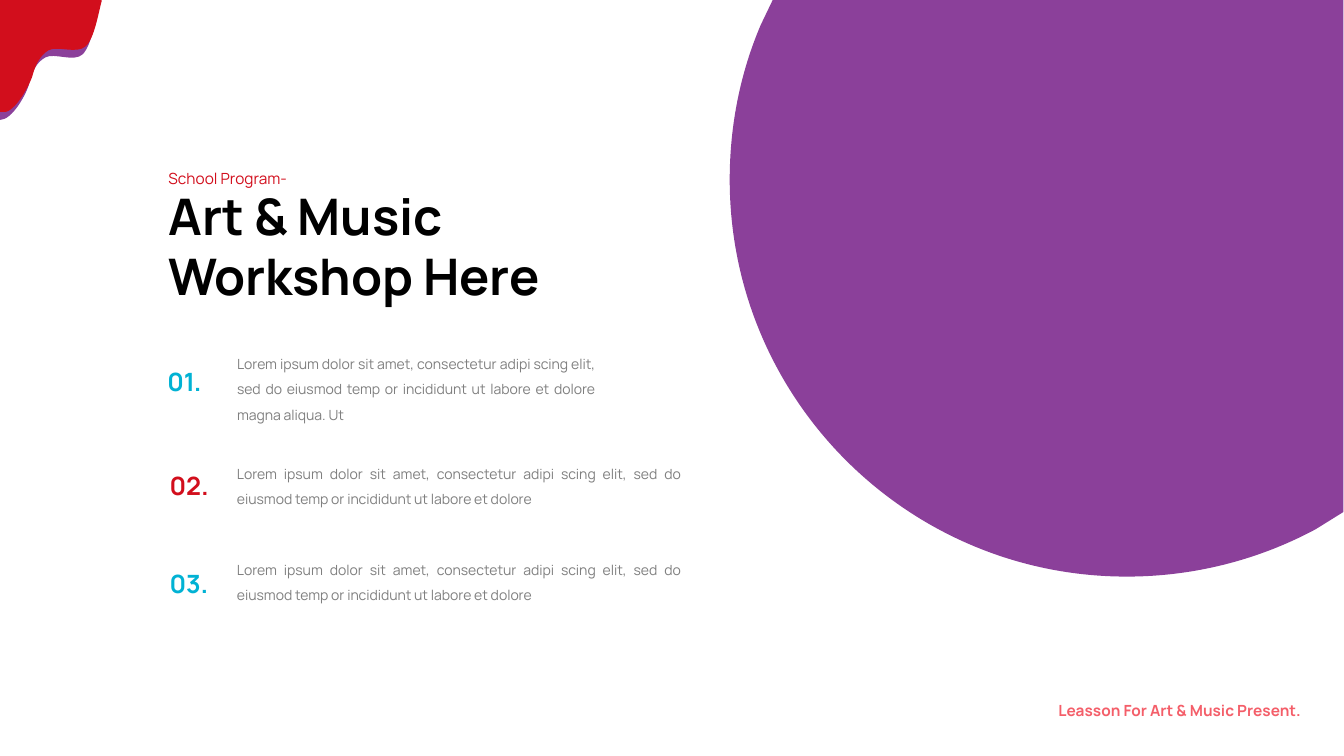
import pptx
import pptx.util
import pptx.dml.color
import pptx.enum.text
import pptx.oxml.ns
import lxml.etree

Pt = pptx.util.Pt
qn = pptx.oxml.ns.qn
align = pptx.enum.text.PP_ALIGN
purple, red, blue, gray = "8B409A", "D20E1C", "01B2D4", "7F7F7F"

deck = pptx.Presentation()
deck.slide_width, deck.slide_height = Pt(960.48), Pt(540)
slide = deck.slides.add_slide(deck.slide_layouts[6])


def tint(text):
    return pptx.dml.color.RGBColor.from_string(text)


def write(box, lines, size, color, bold=False, side=align.JUSTIFY, gap=1.5):
    frame = slide.shapes.add_textbox(*map(Pt, box)).text_frame
    frame.word_wrap = True
    frame.auto_size = pptx.enum.text.MSO_AUTO_SIZE.SHAPE_TO_FIT_TEXT
    for row, line in enumerate(lines):
        para = frame.add_paragraph() if row else frame.paragraphs[0]
        para.alignment, para.line_spacing = side, gap
        run = para.add_run()
        run.text = line
        run.font.name, run.font.size, run.font.bold = "Manrope", Pt(size), bold
        run.font.color.rgb = tint(color)


disc = [
    (552.24, 0), (960, 0), (960, 365.76), (940.32, 378),
    (900, 399.6, 853.92, 411.84, 805.2, 411.84),
    (648.72, 411.84, 521.5, 285.12, 521.5, 128.3),
    (521.5, 89.28, 529.2, 51.84, 543.6, 18),
]
shade = [
    (0, 5.76), (70.56, 5.76),
    (68.4, 12.96, 65.52, 32.4, 59.04, 38.88),
    (52.56, 44.64, 38.88, 37.44, 32.4, 41.04),
    (25.92, 44.64, 23.04, 51.12, 20.88, 59.76),
    (18.72, 67.68, 8.64, 85.68, 0, 85.68),
]
drip = [
    (0, 79.92), (0, 0), (72.72, 0), (72.72, 0.72),
    (70.56, 7.92, 67.68, 27.36, 61.2, 33.12),
    (54.72, 38.88, 41.04, 32.4, 34.56, 36),
    (28.8, 39.6, 25.2, 46.08, 23.04, 54.72),
    (20.16, 62.64, 9.36, 82.8, 0.72, 79.92),
]
for parts, color in [(disc, purple), (shade, purple), (drip, red)]:
    knots = [(Pt(part[-2]), Pt(part[-1])) for part in parts]
    pen = slide.shapes.build_freeform(*knots[0])
    pen.add_line_segments(knots[1:], close=True)
    shape = pen.convert_to_shape()
    shape.shadow.inherit = False
    shape.fill.solid()
    shape.fill.fore_color.rgb = tint(color)
    shape.line.fill.background()
    edges = list(shape.element.iter(qn("a:lnTo")))
    for edge, part in zip(edges, parts[1:]):
        if len(part) == 6:
            edge.tag = qn("a:cubicBezTo")
            edge.remove(edge[0])
            for x, y in zip(part[::2], part[1::2]):
                spot = lxml.etree.SubElement(edge, qn("a:pt"))
                spot.set("x", str(Pt(x) - shape.left))
                spot.set("y", str(Pt(y) - shape.top))

write((667, 490.3, 270, 27.4), ["Leasson For Art & Music Present."], 11, "F45E69", True, align.RIGHT)
write((113.3, 128.5, 285.8, 136.8), ["Art & Music", "Workshop Here"], 36, "000000", True, align.LEFT, 1)
write((113.3, 110.5, 121, 27.4), ["School Program-"], 11, red)

lorem = ("Lorem ipsum dolor sit amet, consectetur adipi scing elit, "
         "sed do eiusmod temp or incididunt ut labore et dolore")
items = [
    ("01.", blue, 112.6, 247, 244.5, 270, 61.2, lorem + " magna aliqua. Ut"),
    ("02.", red, 114.1, 321.5, 322.9, 331.2, 43.2, lorem),
    ("03.", blue, 114.1, 391.4, 391.4, 331.2, 43.2, lorem),
]
for label, color, left, high, top, wide, tall, text in items:
    write((162.3, top, wide, tall), [text], 10, gray)
    write((left, high, 69.1, 39.6), [label], 18, color, True)

deck.save("out.pptx")
